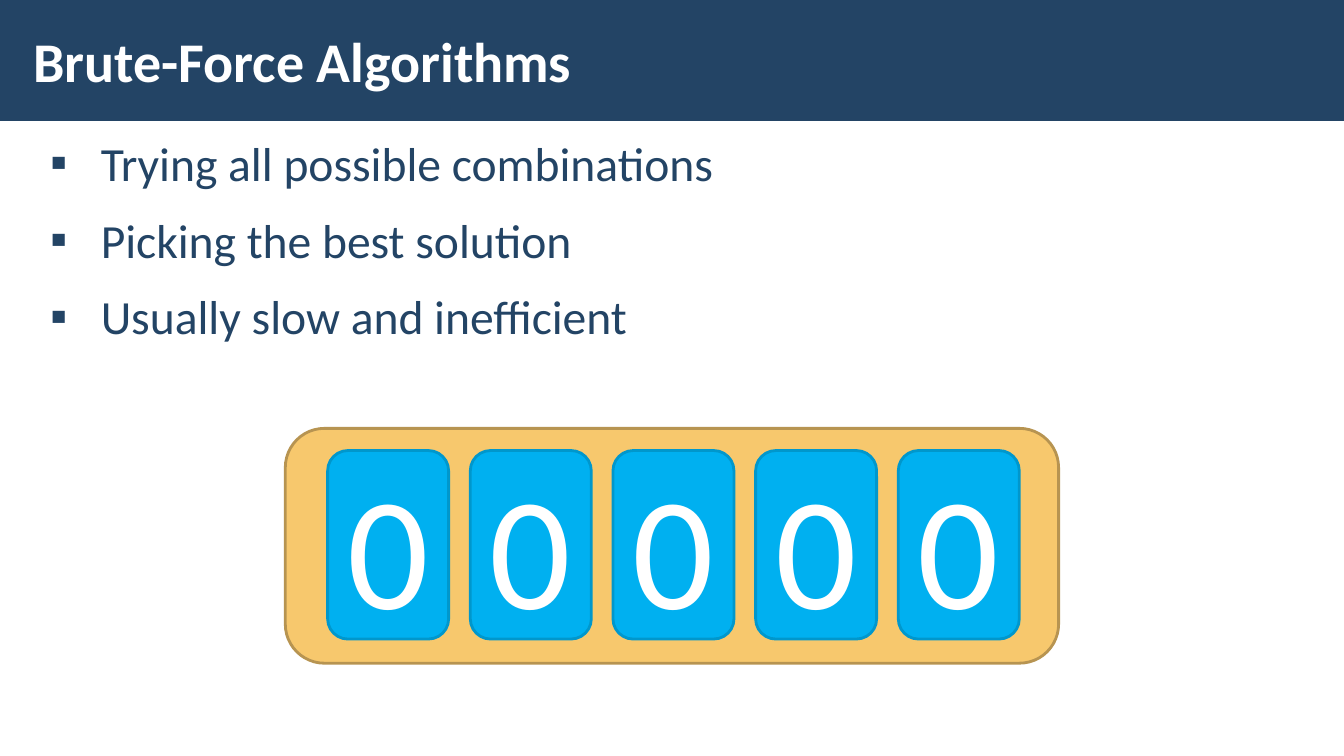
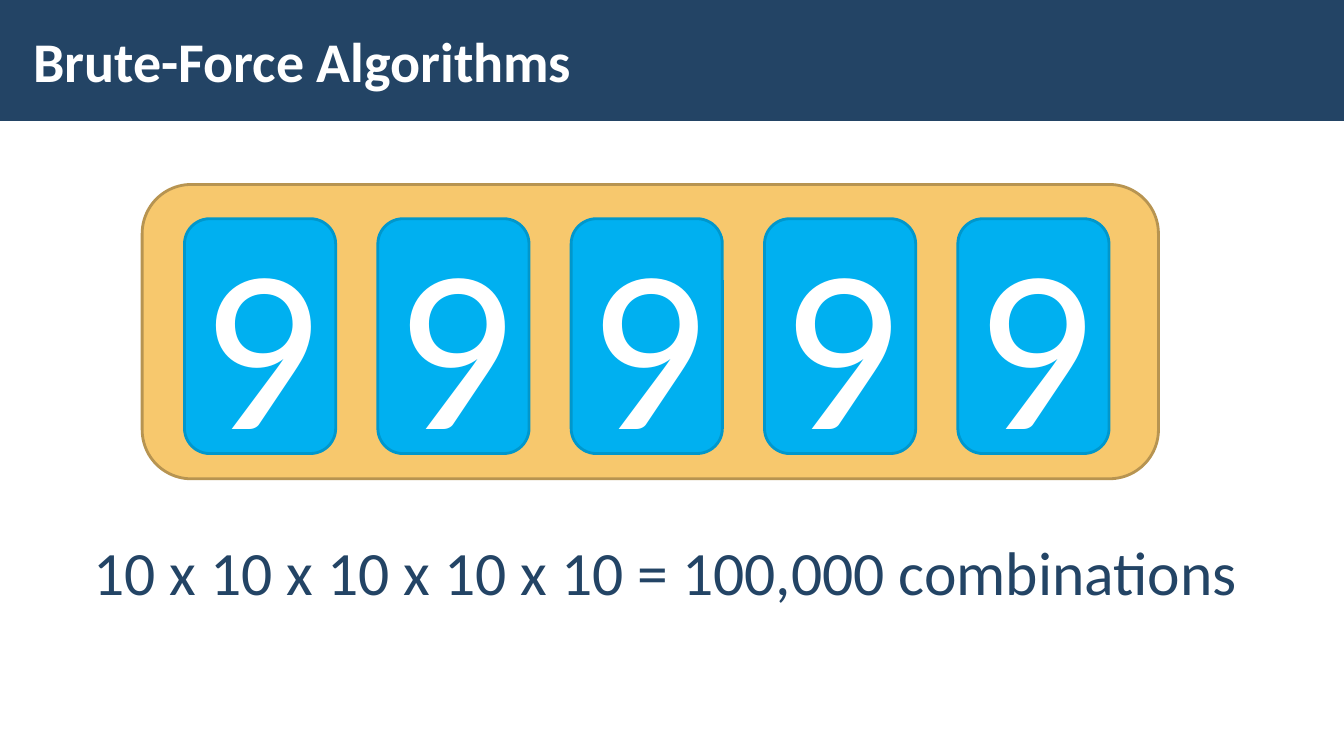
from dataclasses import dataclass

from lxml import etree
from pptx import Presentation
from pptx.dml.color import RGBColor
from pptx.enum import shapes, text
from pptx.oxml import ns
from pptx.util import Inches, Pt

NAVY = RGBColor(0x23, 0x44, 0x65)
WHITE = RGBColor(0xFF, 0xFF, 0xFF)
SAND = RGBColor(0xF7, 0xC8, 0x6D)
SAND_EDGE = RGBColor(0xB7, 0x94, 0x51)
SKY = RGBColor(0x00, 0xB0, 0xF0)
SKY_EDGE = RGBColor(0x00, 0x97, 0xCC)
FONT = "Calibri"
TITLE = "Brute-Force Algorithms"
DIGIT_COUNT = 5


@dataclass(frozen=True)
class Box:
    left: float
    top: float
    width: float
    height: float

    def lengths(self) -> tuple:
        return tuple(Inches(n) for n in (self.left, self.top, self.width, self.height))


@dataclass(frozen=True)
class Lock:
    frame: Box
    first_dial: Box
    last_left: float
    digit: str
    size: int


ZEROS_LOCK = Lock(Box(2.83, 4.25, 7.67, 2.33), Box(3.25, 4.47, 1.2, 1.87), 8.91, "0", 115)
NINES_LOCK = Lock(Box(1.41, 1.83, 10.08, 2.92), Box(1.83, 2.17, 1.5, 2.33), 9.5, "9", 166)


def add_run(paragraph, words: str, size: int, color: RGBColor, bold: bool = False) -> None:
    run = paragraph.add_run()
    run.text = words
    run.font.name = FONT
    run.font.size = Pt(size)
    run.font.bold = bold
    run.font.color.rgb = color


def set_insets(frame) -> None:
    frame.margin_left = frame.margin_right = Inches(0.12)
    frame.margin_top = frame.margin_bottom = Inches(0.04)


def add_panel(slide, kind, box: Box, fill: RGBColor, edge: RGBColor | None = None):
    shape = slide.shapes.add_shape(kind, *box.lengths())
    shape.shadow.inherit = False
    shape.fill.solid()
    shape.fill.fore_color.rgb = fill
    if edge is None:
        shape.line.fill.background()
    else:
        shape.line.color.rgb = edge
        shape.line.width = Pt(2)
    return shape


def add_band(slide) -> None:
    band = add_panel(slide, shapes.MSO_SHAPE.RECTANGLE, Box(0, 0, 13.33, 1.2), NAVY)
    slide.slide_layout.shapes.element.insert(2, band.element)


def add_titled_slide(presentation):
    slide = presentation.slides.add_slide(presentation.slide_layouts[5])
    title = slide.shapes.title
    title.left, title.top, title.width, title.height = Box(0.21, 0.11, 10.39, 0.97).lengths()
    frame = title.text_frame
    frame.auto_size = text.MSO_AUTO_SIZE.NONE
    frame.vertical_anchor = text.MSO_ANCHOR.MIDDLE
    set_insets(frame)
    paragraph = frame.paragraphs[0]
    paragraph.alignment = text.PP_ALIGN.LEFT
    add_run(paragraph, TITLE, 40, WHITE, bold=True)
    return slide


def add_lock(slide, lock: Lock) -> None:
    rounded = shapes.MSO_SHAPE.ROUNDED_RECTANGLE
    add_panel(slide, rounded, lock.frame, SAND, SAND_EDGE)
    dial = lock.first_dial
    pitch = (lock.last_left - dial.left) / (DIGIT_COUNT - 1)
    for index in range(DIGIT_COUNT):
        box = Box(dial.left + index * pitch, dial.top, dial.width, dial.height)
        shape = add_panel(slide, rounded, box, SKY, SKY_EDGE)
        shape.text_frame.vertical_anchor = text.MSO_ANCHOR.MIDDLE
        paragraph = shape.text_frame.paragraphs[0]
        paragraph.alignment = text.PP_ALIGN.CENTER
        add_run(paragraph, lock.digit, lock.size, WHITE)


def add_bullets(slide, box: Box, lines: list[str]) -> None:
    frame = slide.shapes.add_textbox(*box.lengths()).text_frame
    frame.word_wrap = True
    set_insets(frame)
    for index, line in enumerate(lines):
        paragraph = frame.add_paragraph() if index else frame.paragraphs[0]
        paragraph.line_spacing = 1.05
        paragraph.space_before = paragraph.space_after = Pt(6)
        properties = paragraph._p.get_or_add_pPr()
        properties.set("marL", str(Inches(0.5)))
        properties.set("indent", str(Inches(-0.5)))
        etree.SubElement(properties, ns.qn("a:buFont")).set("typeface", FONT)
        etree.SubElement(properties, ns.qn("a:buChar")).set("char", "▪")
        add_run(paragraph, line, 34, NAVY)


def add_formula(slide, box: Box, words: str) -> None:
    frame = slide.shapes.add_textbox(*box.lengths()).text_frame
    frame.word_wrap = False
    frame.auto_size = text.MSO_AUTO_SIZE.SHAPE_TO_FIT_TEXT
    add_run(frame.paragraphs[0], words, 44, NAVY)


def main() -> None:
    presentation = Presentation()
    presentation.slide_width = Inches(13.33)
    presentation.slide_height = Inches(7.5)

    slide = add_titled_slide(presentation)
    add_band(slide)
    add_bullets(slide, Box(0.38, 1.26, 7.36, 2.66), [
        "Trying all possible combinations",
        "Picking the best solution",
        "Usually slow and inefficient",
    ])
    add_lock(slide, ZEROS_LOCK)

    slide = add_titled_slide(presentation)
    add_lock(slide, NINES_LOCK)
    add_formula(slide, Box(0.83, 5.25, 11.66, 0.84),
                "10 x 10 x 10 x 10 x 10 = 100,000 combinations")

    presentation.save("out.pptx")


if __name__ == "__main__":
    main()
